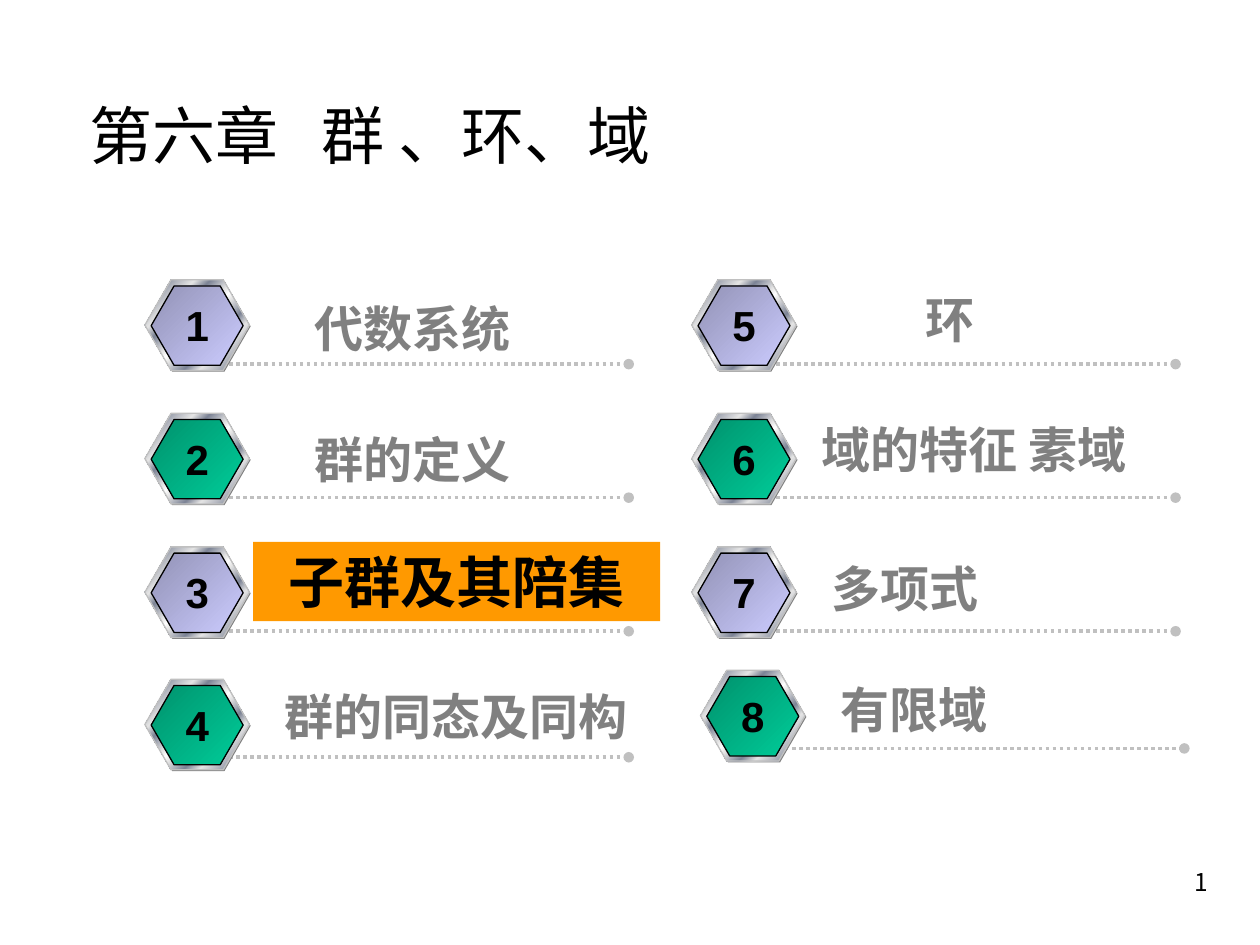
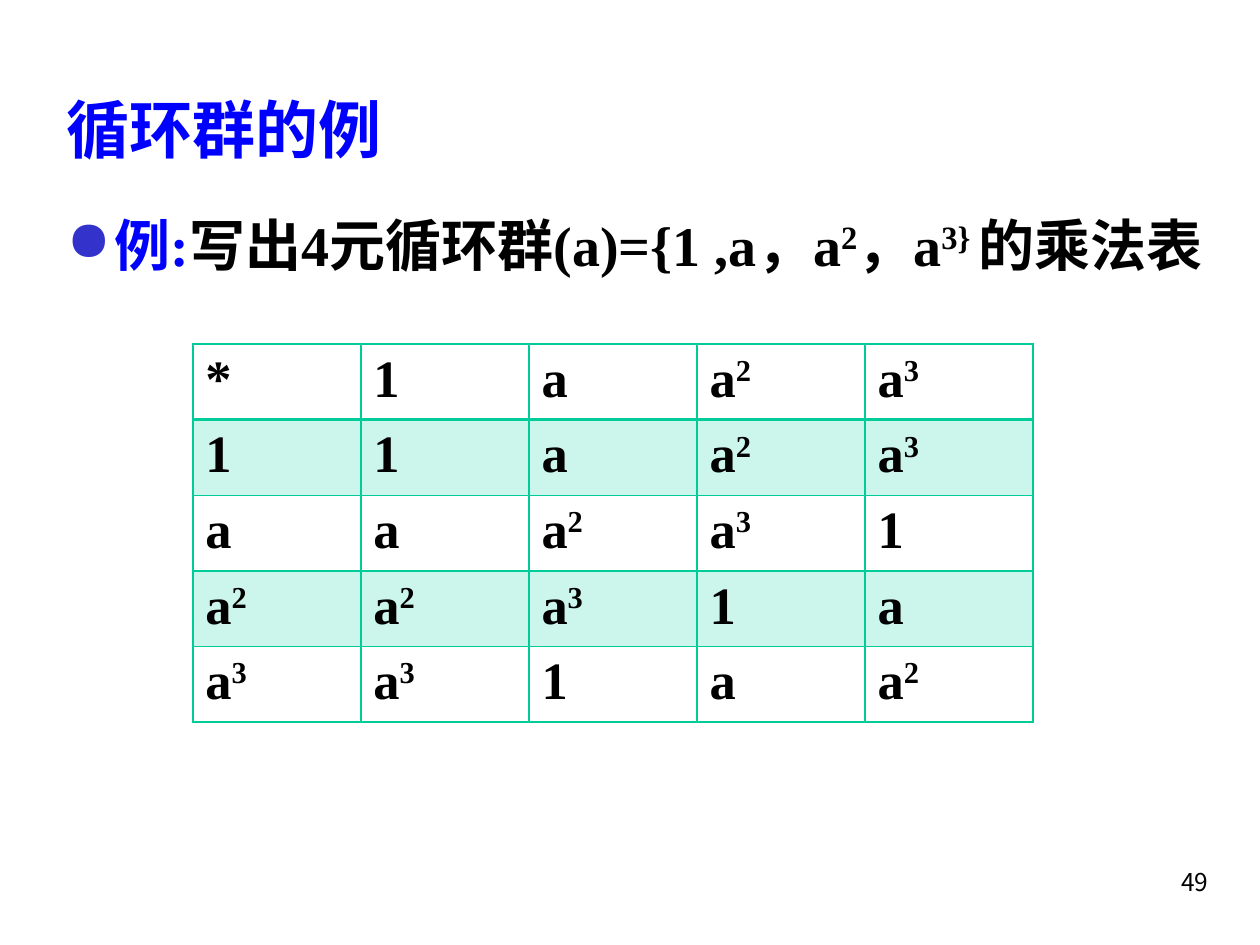
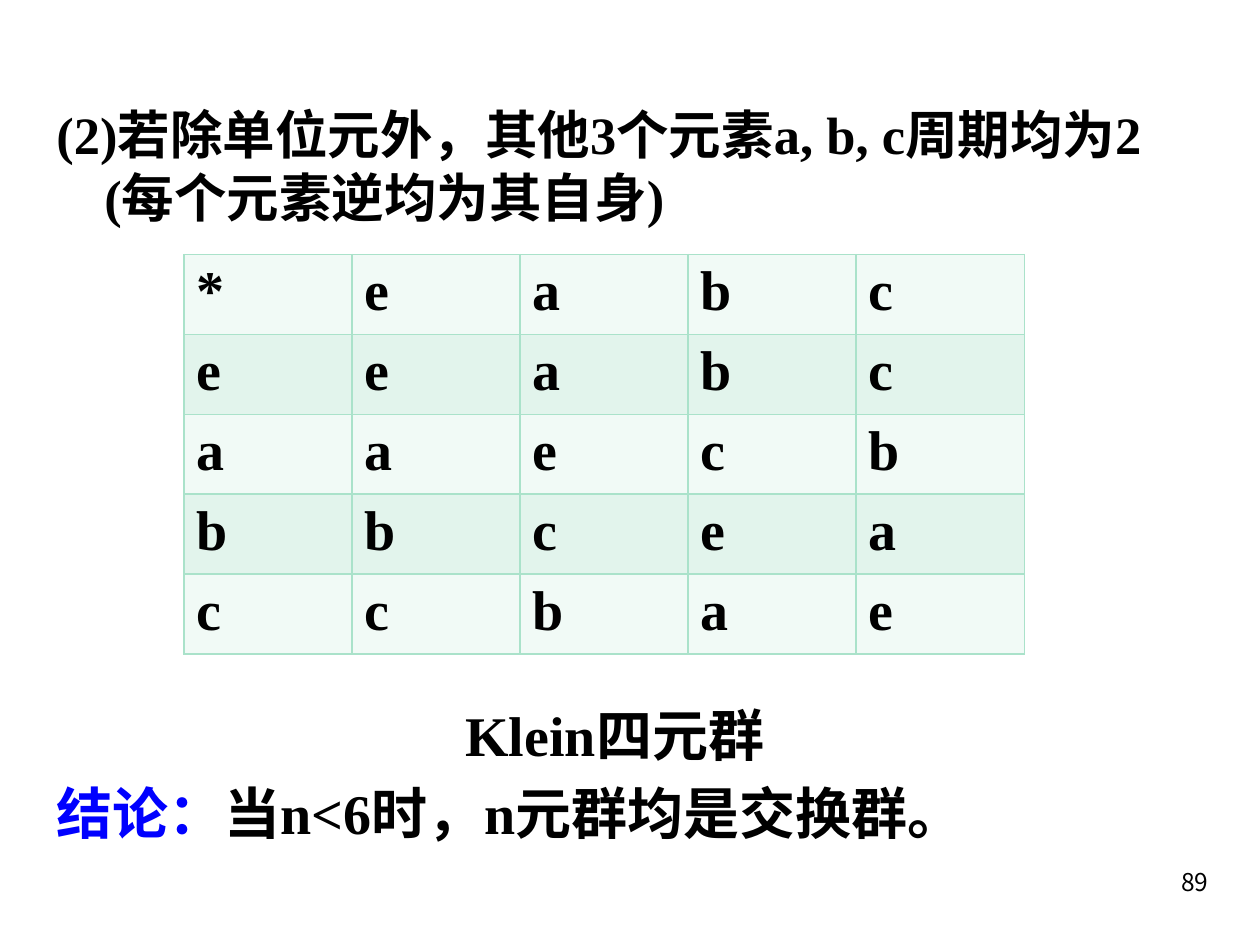
"""Build three slides on groups, rings and fields."""
from dataclasses import dataclass
from typing import Any, Callable, NamedTuple, Optional

from lxml import etree
from pptx import Presentation
from pptx import slide as sl
from pptx import util as u
from pptx.dml import color
from pptx.enum import dml, shapes, text
from pptx.oxml import ns


@dataclass(frozen=True)
class Theme:
    """Colours, fonts and type sizes of the deck."""
    black: str = "000000"
    blue: str = "0000FF"
    bullet: str = "3333CC"
    grey: str = "808080"
    silver: str = "C0C0C0"
    orange: str = "FF9900"
    teal: str = "00CC99"
    teal_tint: str = "CCF5EB"
    mint: str = "AAE2CA"
    mint_light: str = "F1FAF6"
    mint_dark: str = "E2F4EC"
    serif: str = "Times New Roman"
    sans: str = "Arial"
    cjk: str = "Noto Sans CJK SC"
    page: str = "Noto Sans CJK KR"
    title_size: int = 36
    body_size: int = 32
    small_body_size: int = 30
    label_size: int = 28
    number_size: int = 24
    page_size: int = 14
    para_gap: int = 6


T = Theme()
VIOLET = ((0, "9292B6"), (100, "CCCCFF"))
GREEN = ((0, "00926D"), (100, T.teal))
METAL = ((0, "E6E6E6"), (8, "7D8496"), (26, "E6E6E6"), (34, "7D8496"),
         (46, "E6E6E6"), (50, "FFFFFF"), (54, "E6E6E6"), (66, "7D8496"),
         (74, "E6E6E6"), (92, "7D8496"), (100, "E6E6E6"))


class Box(NamedTuple):
    """A rectangle in inches."""
    x: float
    y: float
    w: float
    h: float

    def emu(self) -> list[u.Length]:
        """Return the four lengths for python-pptx."""
        return [u.Inches(v) for v in self]


class Style(NamedTuple):
    """The look of one paragraph."""
    size: int
    font: str = T.serif
    color: str = T.black
    bold: bool = True
    align: Any = text.PP_ALIGN.LEFT


class Run(NamedTuple):
    """A piece of text with its own colour or raised position."""
    text: str
    color: Optional[str] = None
    raised: bool = False


@dataclass(frozen=True)
class Topic:
    """A numbered chapter heading with its hexagon corner and label box."""
    number: int
    x: float
    y: float
    label: str
    box: Box
    rule_dy: float = 0.67
    align: Any = text.PP_ALIGN.LEFT
    current: bool = False


LEFT, RIGHT = 1.15, 5.49
TOPICS = (
    Topic(1, LEFT, 2.22, "代数系统", Box(2.4, 2.32, 1.83, 0.57)),
    Topic(2, LEFT, 3.28, "群的定义", Box(2.4, 3.36, 2.13, 0.57)),
    Topic(3, LEFT, 4.34, "子群及其陪集", Box(2.01, 4.3, 3.23, 0.63), current=True),
    Topic(4, LEFT, 5.39, "群的同态及同构", Box(2.16, 5.4, 2.99, 0.57), 0.62),
    Topic(5, RIGHT, 2.22, "环", Box(6.5, 2.25, 2.08, 0.57), align=text.PP_ALIGN.CENTER),
    Topic(6, RIGHT, 3.28, "域的特征 素域", Box(6.42, 3.28, 2.91, 0.57)),
    Topic(7, RIGHT, 4.34, "多项式", Box(6.5, 4.38, 2.91, 0.57)),
    Topic(8, 5.56, 5.32, "有限域", Box(6.57, 5.34, 2.99, 0.57), 0.62),
)


def rgb(value: str) -> color.RGBColor:
    """Turn a hex string into a colour."""
    return color.RGBColor.from_string(value)


def sub(parent: Any, tag: str, **attrs: str) -> Any:
    """Append a DrawingML element."""
    return etree.SubElement(parent, ns.qn(tag), attrs)


def write(p: Any, runs: list[Run], style: Style) -> None:
    """Fill a paragraph with runs in one style."""
    p.alignment = style.align
    p.font.size, p.font.bold, p.font.name = u.Pt(style.size), style.bold, style.font
    p.font.color.rgb = rgb(style.color)
    for run in runs:
        r = p.add_run()
        r.text = run.text
        if run.color:
            r.font.color.rgb = rgb(run.color)
        if run.raised:
            r.font._element.set("baseline", "30000")


def hang(p: Any) -> None:
    """Give a paragraph the hanging indent of body text."""
    pPr = p._p.get_or_add_pPr()
    pPr.set("marL", str(u.Inches(0.38)))
    pPr.set("indent", str(u.Inches(-0.38)))


def add_text(s: sl.Slide, box: Box, value: str, style: Style, wrap: bool = True) -> Any:
    """Add a one-paragraph text box."""
    sp = s.shapes.add_textbox(*box.emu())
    sp.text_frame.word_wrap = wrap
    write(sp.text_frame.paragraphs[0], [Run(value)], style)
    return sp


def add_slide(prs: Any, layout: int, page: int) -> sl.Slide:
    """Add a slide with its page number."""
    s = prs.slides.add_slide(prs.slide_layouts[layout])
    add_text(s, Box(7.61, 6.83, 2.08, 0.5), str(page),
             Style(T.page_size, T.page, bold=False, align=text.PP_ALIGN.RIGHT))
    return s


def set_title(s: sl.Slide, box: Box, value: str, style: Style,
              tab: Optional[float] = None) -> None:
    """Place and format the title."""
    sp = s.shapes.title
    sp.left, sp.top, sp.width, sp.height = box.emu()
    tf = sp.text_frame
    tf.vertical_anchor = text.MSO_ANCHOR.MIDDLE
    p = tf.paragraphs[0]
    if tab:
        tabs = sub(p._p.get_or_add_pPr(), "a:tabLst")
        sub(tabs, "a:tab", pos=str(u.Inches(tab)), algn="l")
    write(p, [Run(value)], style)


def add_hexagon(group: Any, box: Box, stops: tuple, line: Optional[str]) -> None:
    """Add a hexagon with a flat or diagonal gradient fill."""
    sp = group.shapes.add_shape(shapes.MSO_SHAPE.HEXAGON, *box.emu())
    sp.adjustments[0] = 0.289
    sp.shadow.inherit = False
    if len(stops) == 1:
        sp.fill.solid()
        sp.fill.fore_color.rgb = rgb(stops[0][1])
    else:
        sp.fill.gradient()
        sp.fill.gradient_angle = 315
        gs_list = sp.element.spPr.find(".//" + ns.qn("a:gsLst"))
        for gs in list(gs_list):
            gs_list.remove(gs)
        for pos, value in stops:
            sub(sub(gs_list, "a:gs", pos=str(pos * 1000)), "a:srgbClr", val=value)
    if line:
        sp.line.color.rgb, sp.line.width = rgb(line), u.Pt(0.75)
    else:
        sp.line.fill.background()


def add_rule(s: sl.Slide, x: float, y: float) -> None:
    """Add a dotted rule that ends in a dot."""
    cx = s.shapes.add_connector(shapes.MSO_CONNECTOR.STRAIGHT, u.Inches(x), u.Inches(y),
                                u.Inches(x + 3.17), u.Inches(y))
    cx.line.color.rgb, cx.line.width = rgb(T.silver), u.Pt(2)
    cx.line.dash_style = dml.MSO_LINE.ROUND_DOT
    spPr = cx.element.spPr
    sub(spPr.find(ns.qn("a:ln")), "a:tailEnd", type="oval")
    sub(spPr, "a:effectLst")


def add_topic(s: sl.Slide, topic: Topic) -> None:
    """Draw a topic: rule, hexagon, number and label."""
    x, y = topic.x, topic.y
    add_rule(s, x + 0.67, y + topic.rule_dy)
    group = s.shapes.add_group_shape()
    add_hexagon(group, Box(x + 0.01, y + 0.01, 0.83, 0.72), ((0, T.grey),), None)
    add_hexagon(group, Box(x, y, 0.83, 0.72), METAL, T.silver)
    add_hexagon(group, Box(x + 0.05, y + 0.05, 0.73, 0.63),
                VIOLET if topic.number % 2 else GREEN, T.black)
    center = text.PP_ALIGN.CENTER
    add_text(s, Box(x + 0.22, y + 0.11, 0.39, 0.5), str(topic.number),
             Style(T.number_size, T.sans, align=center), wrap=False)
    if topic.current:
        sp = add_text(s, topic.box, topic.label, Style(T.body_size, align=center))
        sp.fill.solid()
        sp.fill.fore_color.rgb = rgb(T.orange)
    else:
        add_text(s, topic.box, topic.label,
                 Style(T.label_size, T.cjk, T.grey, align=topic.align))


def set_borders(cell: Any, line: str, widths: dict[str, float]) -> None:
    """Draw the four borders of a cell."""
    tcPr = cell._tc.get_or_add_tcPr()
    for i, side in enumerate("LRTB"):
        ln = etree.Element(ns.qn("a:ln" + side), w=str(u.Pt(widths.get(side, 1))))
        sub(sub(ln, "a:solidFill"), "a:srgbClr", val=line)
        tcPr.insert(i, ln)


def add_product_table(s: sl.Slide, x: float, y: float, row_h: float, names: list[str],
                      product: Callable[[int, int], int], size: int, line: str,
                      fills: tuple, header_rule: float = 1) -> None:
    """Add the multiplication table of a group."""
    n = len(names) + 1
    table = s.shapes.add_table(n, n, *Box(x, y, 6.67, row_h * n).emu()).table
    table.first_row = table.horz_banding = False
    for i in range(n):
        table.rows[i].height = u.Inches(row_h)
        for j in range(n):
            cell = table.cell(i, j)
            if i and j:
                name = names[product(i - 1, j - 1)]
            else:
                name = names[i + j - 1] if i + j else "*"
            runs = [Run(name[0])] + [Run(c, raised=True) for c in name[1:]]
            write(cell.text_frame.paragraphs[0], runs, Style(size))
            fill = fills[i % 2]
            if fill:
                cell.fill.solid()
                cell.fill.fore_color.rgb = rgb(fill)
            else:
                cell.fill.background()
            set_borders(cell, line, {0: {"B": header_rule}, 1: {"T": header_rule}}.get(i, {}))


def build_contents(prs: Any) -> None:
    """Build the chapter contents slide."""
    s = add_slide(prs, 5, 1)
    set_title(s, Box(0.61, 0.58, 8.77, 0.97), "第六章\t群 、环、域",
              Style(T.title_size, T.cjk, bold=False), tab=1.84)
    for topic in TOPICS:
        add_topic(s, topic)


def build_cyclic(prs: Any) -> None:
    """Build the cyclic group example slide."""
    s = add_slide(prs, 5, 49)
    set_title(s, Box(0.43, 0.6, 8.5, 0.83), "循环群的例", Style(T.title_size, color=T.blue))
    sp = s.shapes.add_textbox(*Box(0.43, 1.62, 9.37, 4.88).emu())
    sp.text_frame.word_wrap = True
    p = sp.text_frame.paragraphs[0]
    hang(p)
    pPr = p._p.get_or_add_pPr()
    sub(sub(pPr, "a:buClr"), "a:srgbClr", val=T.bullet)
    sub(pPr, "a:buChar", char="●")
    write(p, [Run("例:", T.blue), Run("写出4元循环群(a)={1 ,a，a"), Run("2", raised=True),
              Run("，a"), Run("3} ", raised=True), Run("的乘法表")], Style(T.body_size))
    add_product_table(s, 1.53, 2.73, 0.56, ["1", "a", "a2", "a3"],
                      lambda i, j: (i + j) % 4, T.small_body_size, T.teal,
                      (None, T.teal_tint), header_rule=2)


def build_klein(prs: Any) -> None:
    """Build the Klein four-group slide."""
    s = add_slide(prs, 6, 89)
    tf = s.shapes.add_textbox(*Box(0.35, 0.76, 9.06, 6.46).emu()).text_frame
    tf.word_wrap = True
    paras = (
        (0, [Run("(2)若除单位元外，其他3个元素a, b, c周期均为2 (每个元素逆均为其自身)")],
         Style(T.small_body_size)),
        (270, [Run("Klein四元群")], Style(T.body_size, align=text.PP_ALIGN.CENTER)),
        (T.para_gap, [Run("结论：", T.blue), Run("当n<6时，n元群均是交换群。")],
         Style(T.body_size)),
    )
    for i, (gap, runs, style) in enumerate(paras):
        p = tf.add_paragraph() if i else tf.paragraphs[0]
        hang(p)
        if gap:
            p.space_before = u.Pt(gap)
        write(p, runs, style)
    add_product_table(s, 1.46, 2.02, 0.59, list("eabc"), lambda i, j: i ^ j,
                      T.body_size, T.mint, (T.mint_light, T.mint_dark))


def main() -> None:
    """Build and save the deck."""
    prs = Presentation()
    prs.slide_width, prs.slide_height = u.Inches(10), u.Inches(7.5)
    for build in (build_contents, build_cyclic, build_klein):
        build(prs)
    prs.save("out.pptx")


if __name__ == "__main__":
    main()
